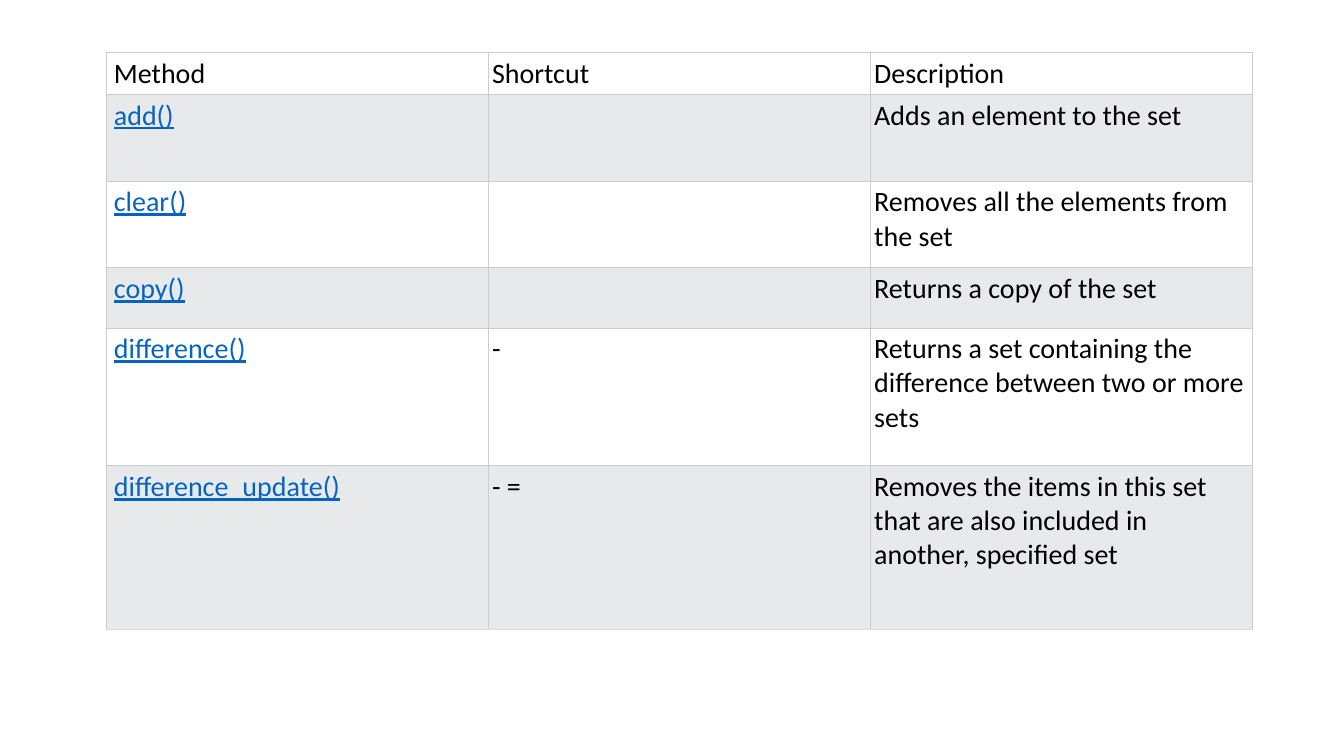
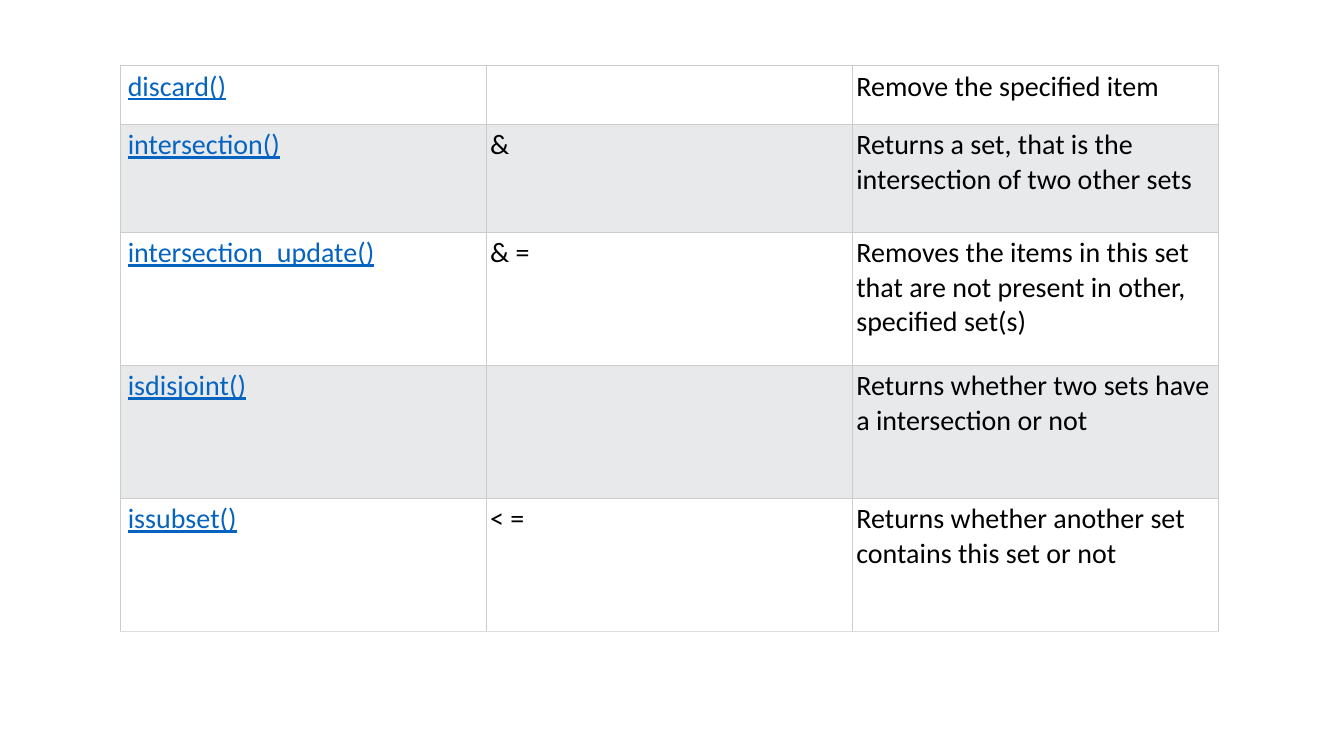
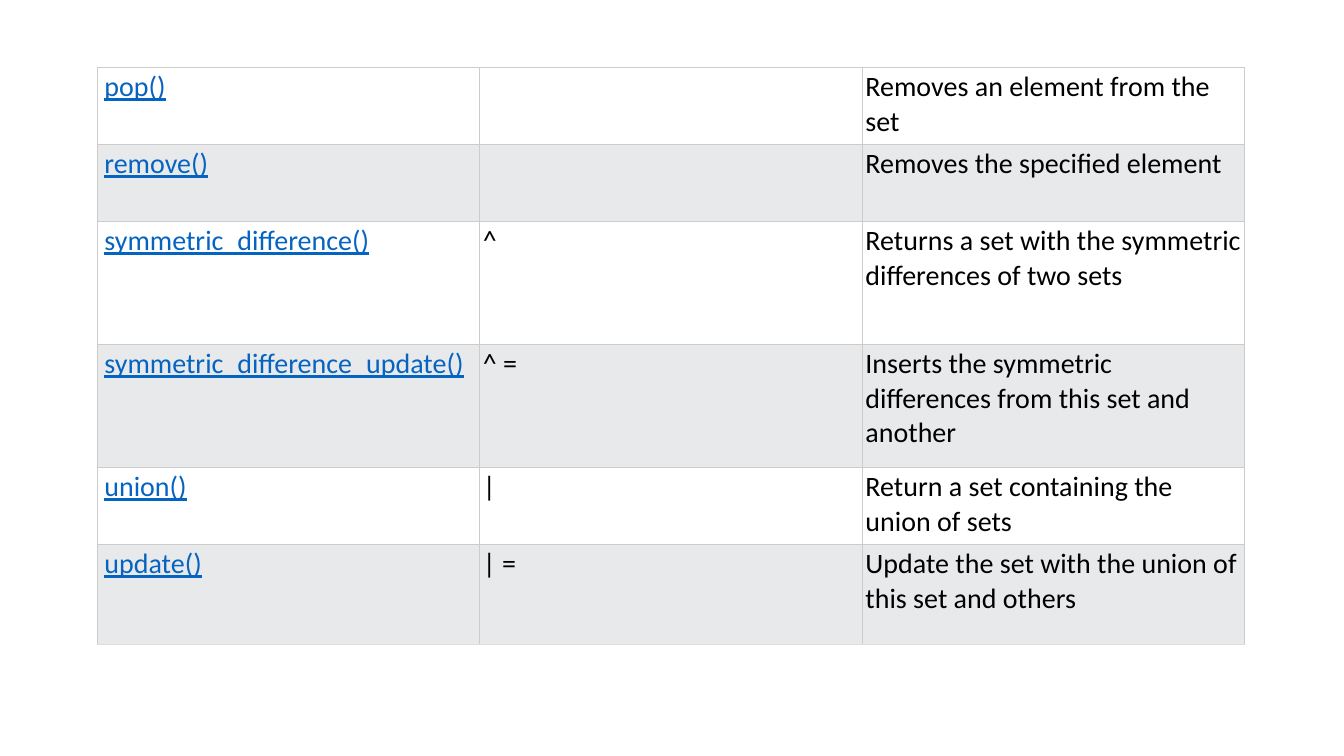
import dataclasses

import lxml.etree
import pptx
import pptx.dml.color
import pptx.oxml.ns
import pptx.util


@dataclasses.dataclass(frozen=True)
class Theme:
    font: str = "Calibri"
    size: float = 20
    text: str = "000000"
    method: str = "0563C1"
    bands: tuple = ("FFFFFF", "E7E9EB")
    border: str = "CCCCCC"
    bottom: str = "DDDDDD"
    border_width: float = 0.5


class MethodDeck:
    """Build slides that tabulate set methods in one shared style."""

    def __init__(self, theme):
        self.theme = theme
        self.deck = pptx.Presentation()
        self.deck.slide_width = pptx.util.Cm(33.87)
        self.deck.slide_height = pptx.util.Cm(19.05)
        self.page = None

    def add_page(self):
        self.page = self.deck.slides.add_slide(self.deck.slide_layouts[6])

    def add_table(self, left, top, column_width, heights, rows, indent, inset):
        frame = self.page.shapes.add_table(
            len(rows), len(rows[0]), pptx.util.Cm(left), pptx.util.Cm(top),
            pptx.util.Cm(column_width * len(rows[0])), pptx.util.Cm(sum(heights)))
        table = frame.table
        table.first_row = False
        table.horz_banding = False
        for column in table.columns:
            column.width = pptx.util.Cm(column_width)
        for row, height in zip(table.rows, heights):
            row.height = pptx.util.Cm(height)
        for row_index, texts in enumerate(rows):
            is_last = row_index == len(rows) - 1
            for column_index, text in enumerate(texts):
                cell = table.cell(row_index, column_index)
                is_method = column_index == 0 and text.endswith("()")
                self.set_borders(cell, is_last)
                cell.fill.solid()
                cell.fill.fore_color.rgb = pptx.dml.color.RGBColor.from_string(
                    self.theme.bands[row_index % 2])
                cell.margin_left = pptx.util.Cm(inset if column_index else indent)
                cell.margin_right = cell.margin_top = cell.margin_bottom = pptx.util.Cm(inset)
                self.set_text(cell, text, is_method)

    def set_text(self, cell, text, is_method):
        cell.text = text
        font = cell.text_frame.paragraphs[0].font
        font.name = self.theme.font
        font.size = pptx.util.Pt(self.theme.size)
        font.underline = is_method
        font.color.rgb = pptx.dml.color.RGBColor.from_string(
            self.theme.method if is_method else self.theme.text)

    def set_borders(self, cell, is_last):
        properties = cell._tc.get_or_add_tcPr()
        for side in "LRTB":
            line = lxml.etree.SubElement(
                properties, pptx.oxml.ns.qn(f"a:ln{side}"),
                w=str(pptx.util.Pt(self.theme.border_width)))
            fill = lxml.etree.SubElement(line, pptx.oxml.ns.qn("a:solidFill"))
            color = self.theme.bottom if is_last and side == "B" else self.theme.border
            lxml.etree.SubElement(fill, pptx.oxml.ns.qn("a:srgbClr"), val=color)


TABLES = [
    dict(
        left=2.67, top=1.32, column_width=9.63, indent=0.2, inset=0.1,
        heights=[1.02, 2.18, 2.18, 1.52, 3.47, 4.12],
        rows=[
            ("Method", "Shortcut", "Description"),
            ("add()", "", "Adds an element to the set"),
            ("clear()", "", "Removes all the elements from the set"),
            ("copy()", "", "Returns a copy of the set"),
            ("difference()", "-",
             "Returns a set containing the difference between two or more sets"),
            ("difference_update()", "- =",
             "Removes the items in this set that are also included in another, specified set"),
        ]),
    dict(
        left=3.02, top=1.65, column_width=9.23, indent=0.2, inset=0.1,
        heights=[1.48, 2.72, 3.35, 3.35, 3.35],
        rows=[
            ("discard()", "", "Remove the specified item"),
            ("intersection()", "&",
             "Returns a set, that is the intersection of two other sets"),
            ("intersection_update()", "& =",
             "Removes the items in this set that are not present in other, specified set(s)"),
            ("isdisjoint()", "", "Returns whether two sets have a intersection or not"),
            ("issubset()", "< =", "Returns whether another set contains this set or not"),
        ]),
    dict(
        left=2.45, top=1.69, column_width=9.64, indent=0.18, inset=0.08,
        heights=[1.94, 1.94, 3.1, 3.1, 1.94, 2.52],
        rows=[
            ("pop()", "", "Removes an element from the set"),
            ("remove()", "", "Removes the specified element"),
            ("symmetric_difference()", "^",
             "Returns a set with the symmetric differences of two sets"),
            ("symmetric_difference_update()", "^ =",
             "Inserts the symmetric differences from this set and another"),
            ("union()", "|", "Return a set containing the union of sets"),
            ("update()", "| =", "Update the set with the union of this set and others"),
        ]),
]


def main():
    builder = MethodDeck(Theme())
    for table in TABLES:
        builder.add_page()
        builder.add_table(**table)
    builder.deck.save("out.pptx")


if __name__ == "__main__":
    main()
